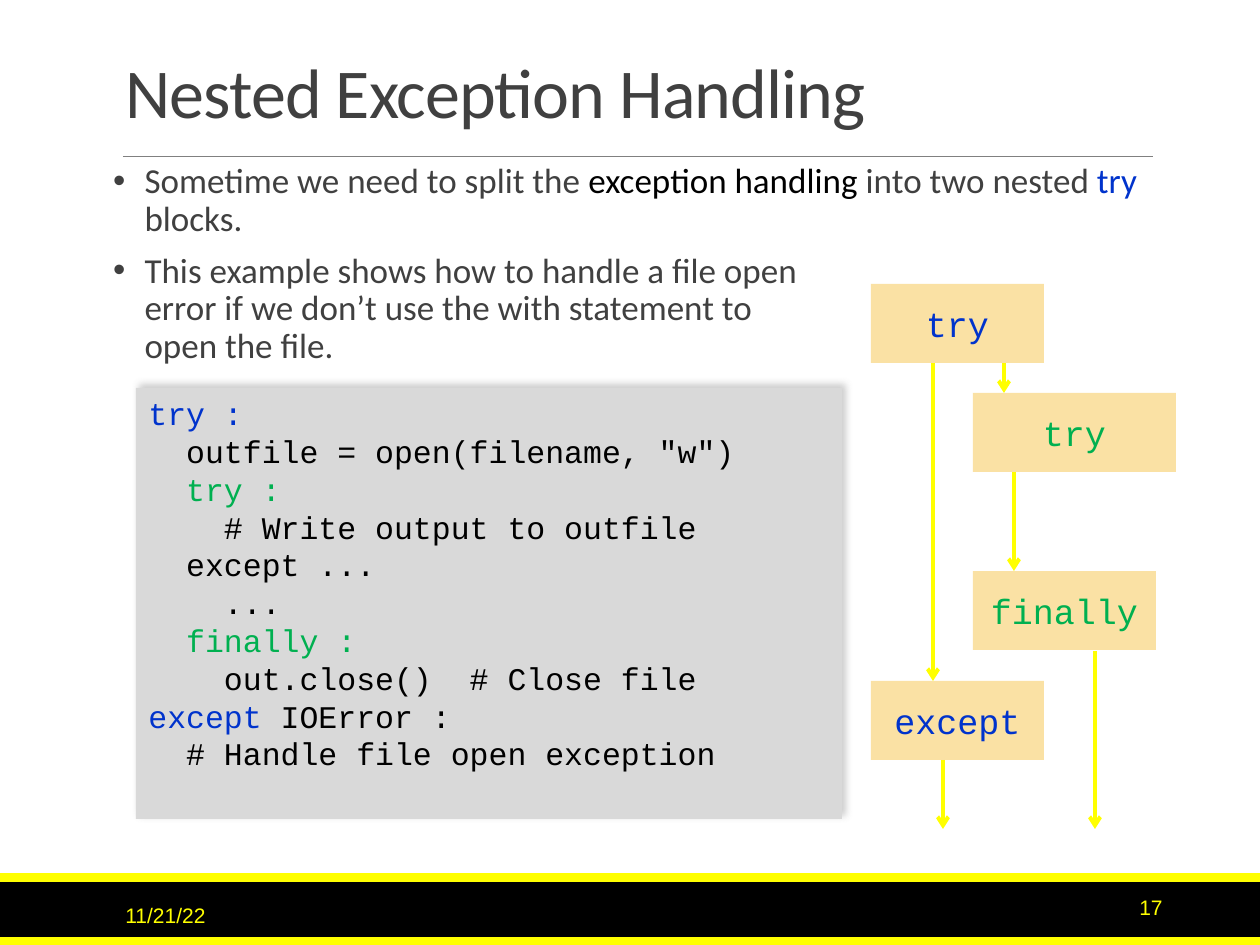
from lxml import etree
from pptx import Presentation
from pptx.dml.color import RGBColor
from pptx.enum.shapes import MSO_CONNECTOR, MSO_SHAPE
from pptx.enum.text import MSO_ANCHOR, MSO_AUTO_SIZE, PP_ALIGN
from pptx.oxml.ns import qn
from pptx.util import Pt

PX = 914400 / 126

BLACK = RGBColor(0x00, 0x00, 0x00)
YELLOW = RGBColor(0xFF, 0xFF, 0x00)
DARK = RGBColor(0x40, 0x40, 0x40)
GRAY = RGBColor(0x80, 0x80, 0x80)
PANEL = RGBColor(0xD9, 0xD9, 0xD9)
CREAM = RGBColor(0xFA, 0xE1, 0xA4)
BLUE = RGBColor(0x00, 0x33, 0xCC)
GREEN = RGBColor(0x00, 0xB0, 0x50)


def px(*lengths):
    return [round(length * PX) for length in lengths]


def write(paragraph, pieces, font, size):
    """Append (text, colour) pieces as runs; a newline in a text is a line break."""
    for text, color in pieces:
        for number, line in enumerate(text.split("\n")):
            if number:
                paragraph.add_line_break()
            run = paragraph.add_run()
            run.text = line
            run.font.name = font
            run.font.size = Pt(size)
            run.font.color.rgb = color


presentation = Presentation()
presentation.slide_width, presentation.slide_height = px(1260, 945)
slide = presentation.slides.add_slide(presentation.slide_layouts[5])
shapes = slide.shapes

# Title
title = shapes.title
title.left, title.top, title.width, title.height = px(113, 39, 1040, 100)
title.text_frame.auto_size = MSO_AUTO_SIZE.NONE
title.text_frame.vertical_anchor = MSO_ANCHOR.BOTTOM
paragraph = title.text_frame.paragraphs[0]
paragraph.alignment = PP_ALIGN.LEFT
paragraph.line_spacing = 0.85
write(paragraph, [("Nested Exception Handling", DARK)], "Calibri", 40)
paragraph.runs[0].font._element.set("spc", "-50")

# Bullets
body = shapes.add_textbox(*px(113, 157, 1040, 651)).text_frame
body.word_wrap = True
body.margin_left = body.margin_right = 0
bullets = [
    (12, [("Sometime we need to split the ", DARK), ("exception handling ", BLACK),
          ("into two nested ", DARK), ("try", BLUE), (" blocks.", DARK)]),
    (6, [("This example shows how to handle a file open \n"
          "error if we don’t use the with statement to \nopen the file.", DARK)]),
]
for number, (space_before, pieces) in enumerate(bullets):
    paragraph = body.add_paragraph() if number else body.paragraphs[0]
    paragraph.line_spacing = 0.9
    paragraph.space_before = Pt(space_before)
    paragraph.space_after = Pt(2)
    properties = paragraph._p.get_or_add_pPr()
    properties.set("marL", "228600")
    properties.set("indent", "-228600")
    color = etree.SubElement(etree.SubElement(properties, qn("a:buClr")), qn("a:srgbClr"))
    color.set("val", str(DARK))
    etree.SubElement(properties, qn("a:buFont")).set("typeface", "Arial")
    etree.SubElement(properties, qn("a:buChar")).set("char", "•")
    write(paragraph, pieces, "Calibri", 20)

# Footer bands, code panel and flow boxes
rectangles = [
    ((0, 882, 1260, 63), BLACK, None),
    ((0, 873, 1260, 9), YELLOW, None),
    ((0, 937, 1260, 8), YELLOW, None),
    ((136, 388, 706, 431), PANEL, None),
    ((871, 284, 173, 79), CREAM, ("try", BLUE)),
    ((973, 393, 203, 79), CREAM, ("try", GREEN)),
    ((973, 571, 183, 79), CREAM, ("finally", GREEN)),
    ((871, 681, 173, 79), CREAM, ("except", BLUE)),
]
for place, fill, label in rectangles:
    shape = shapes.add_shape(MSO_SHAPE.RECTANGLE, *px(*place))
    shape.shadow.inherit = False
    shape.fill.solid()
    shape.fill.fore_color.rgb = fill
    shape.line.fill.background()
    if fill == PANEL:
        code_panel = shape
    if label:
        shape.text_frame.vertical_anchor = MSO_ANCHOR.MIDDLE
        paragraph = shape.text_frame.paragraphs[0]
        paragraph.alignment = PP_ALIGN.CENTER
        write(paragraph, [label], "Courier New", 20)

# Code
effects = code_panel._element.spPr.find(qn("a:effectLst"))
shadow = etree.SubElement(effects, qn("a:outerShdw"), blurRad=str(Pt(4)),
                          dist=str(Pt(3)), dir="18900000", algn="bl", rotWithShape="0")
color = etree.SubElement(shadow, qn("a:srgbClr"), val=str(GRAY))
etree.SubElement(color, qn("a:alpha"), val="40000")

code_lines = [
    [("try :", BLUE)],
    [('  outfile = open(filename, "w")', BLACK)],
    [("  try :", GREEN)],
    [("    # Write output to outfile", BLACK)],
    [("  except ...", BLACK)],
    [("    ...", BLACK)],
    [("  finally :", GREEN)],
    [("    out.close()  # Close file", BLACK)],
    [("except", BLUE), (" IOError :", BLACK)],
    [("  # Handle file open exception", BLACK)],
]
code = code_panel.text_frame
code.vertical_anchor = MSO_ANCHOR.TOP
for number, pieces in enumerate(code_lines):
    paragraph = code.add_paragraph() if number else code.paragraphs[0]
    paragraph.alignment = PP_ALIGN.LEFT
    properties = paragraph._p.get_or_add_pPr()
    properties.set("marL", "342900")
    properties.set("indent", "-342900")
    write(paragraph, pieces, "Courier New", 18)

# Title rule and flow arrows
lines = [
    ((123, 156, 1153, 156), GRAY, 0.5),
    ((933, 363, 933, 681), YELLOW, 2.25),
    ((1004, 363, 1004, 393), YELLOW, 2.25),
    ((1014, 472, 1014, 571), YELLOW, 2.25),
    ((1095, 651, 1095, 829), YELLOW, 2.25),
    ((943, 760, 943, 829), YELLOW, 2.25),
]
for ends, color, width in lines:
    connector = shapes.add_connector(MSO_CONNECTOR.STRAIGHT, *px(*ends))
    connector.line.color.rgb = color
    connector.line.width = Pt(width)
    if color == YELLOW:
        etree.SubElement(connector.line._get_or_add_ln(), qn("a:tailEnd"), type="arrow")
    etree.SubElement(connector._element.spPr, qn("a:effectLst"))

# Date and slide number
footers = [
    ((113, 890, 256, 50), "11/21/22", PP_ALIGN.LEFT),
    ((1039, 882, 136, 50), "17", PP_ALIGN.RIGHT),
]
for place, text, alignment in footers:
    footer = shapes.add_textbox(*px(*place)).text_frame
    footer.word_wrap = True
    footer.vertical_anchor = MSO_ANCHOR.MIDDLE
    footer.paragraphs[0].alignment = alignment
    write(footer.paragraphs[0], [(text, YELLOW)], "Arial", 12)

presentation.save("out.pptx")
